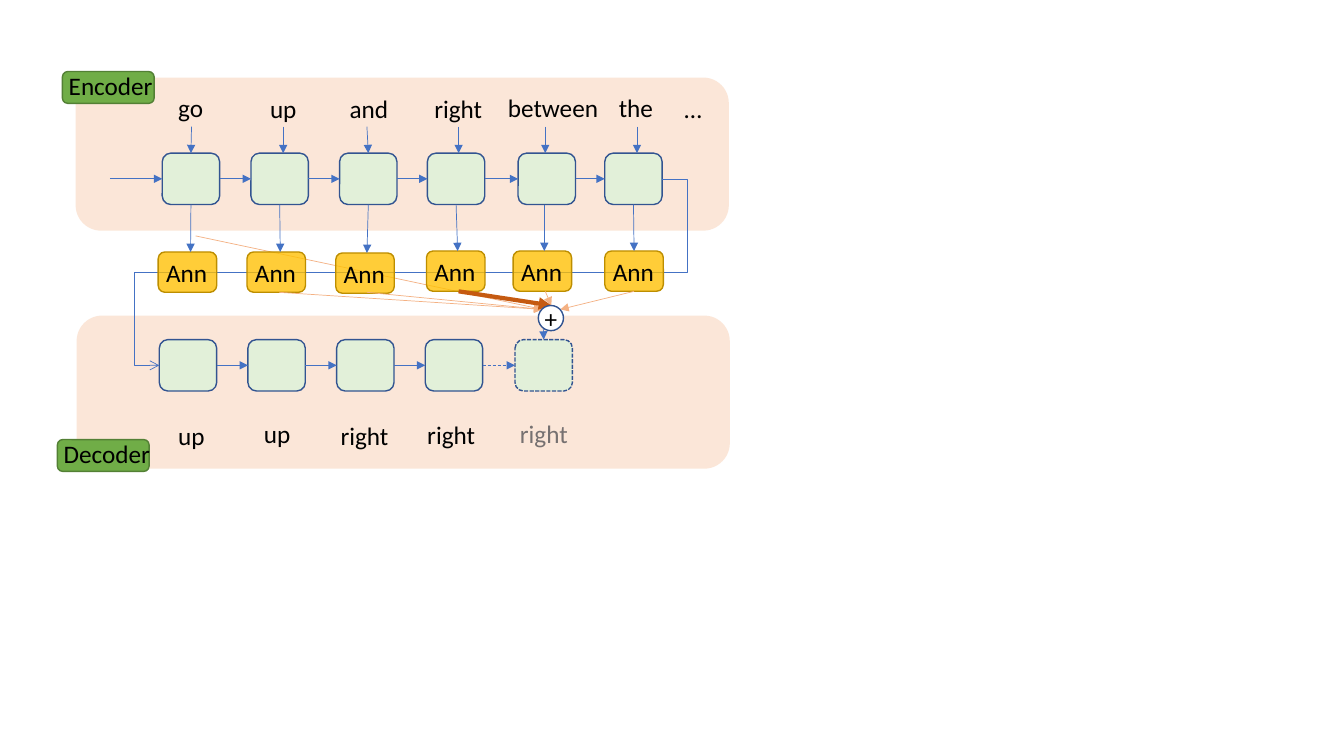
"""Build a slide of an attention-based encoder and decoder."""
import itertools

import lxml.etree
import pptx
import pptx.dml.color
import pptx.enum.dml
import pptx.enum.shapes
import pptx.enum.text
import pptx.oxml.ns
import pptx.util

Pt = pptx.util.Pt
qn = pptx.oxml.ns.qn
color = pptx.dml.color.RGBColor.from_string
ROUNDED = pptx.enum.shapes.MSO_SHAPE.ROUNDED_RECTANGLE
OVAL = pptx.enum.shapes.MSO_SHAPE.OVAL
STRAIGHT = pptx.enum.shapes.MSO_CONNECTOR.STRAIGHT
ELBOW = pptx.enum.shapes.MSO_CONNECTOR.ELBOW
DASH = pptx.enum.dml.MSO_LINE.DASH
SHORT_DASH = pptx.enum.dml.MSO_LINE.SQUARE_DOT
LEFT = pptx.enum.text.PP_ALIGN.LEFT
CENTER = pptx.enum.text.PP_ALIGN.CENTER

BLUE, NAVY, PEACH = "4472C4", "325491", "F4B183"
CELL_WIDTH, CELL_HEIGHT = 41, 36.7
ENCODER_TOP, DECODER_TOP = 109.4, 242.6
GLUE_REACH = 1.1

deck = pptx.Presentation()
deck.slide_width, deck.slide_height = Pt(960), Pt(540)
page = deck.slides.add_slide(deck.slide_layouts[6])
blocks = []


def draw_box(text, left, top, width, height, kind=None, fill=None, alpha=None, line=None,
             dash=None, ink="000000", align=LEFT, margins=(7.2, 3.6, 7.2, 3.6)):
    frame = [Pt(value) for value in (left, top, width, height)]
    if kind is None:
        box = page.shapes.add_textbox(*frame)
    else:
        box = page.shapes.add_shape(kind, *frame)
        box.shadow.inherit = False
        box.fill.solid()
        box.fill.fore_color.rgb = color(fill)
        if alpha:
            swatch = box._element.spPr.find(qn("a:solidFill"))[0]
            lxml.etree.SubElement(swatch, qn("a:alpha"), val=str(alpha * 1000))
        if line:
            box.line.color.rgb = color(line)
            box.line.width = Pt(1)
            box.line.dash_style = dash
        else:
            box.line.fill.background()
    if text:
        body = box.text_frame
        body.word_wrap = False
        body.margin_left, body.margin_top, body.margin_right, body.margin_bottom = map(Pt, margins)
        body.vertical_anchor = pptx.enum.text.MSO_ANCHOR.MIDDLE
        para = body.paragraphs[0]
        para.alignment = align
        span = para.add_run()
        span.text = text
        span.font.name, span.font.size = "Calibri", Pt(18)
        span.font.color.rgb = color(ink)
    return box


def draw_arrow(start, end, stroke=BLUE, weight=0.5, dash=None, head="triangle", kind=STRAIGHT):
    arrow = page.shapes.add_connector(kind, *map(Pt, start + end))
    arrow.line.color.rgb = color(stroke)
    arrow.line.width = Pt(weight)
    arrow.line.dash_style = dash
    outline = arrow._element.spPr.find(qn("a:ln"))
    lxml.etree.SubElement(outline, qn("a:tailEnd"), type=head)
    lxml.etree.SubElement(arrow._element.spPr, qn("a:effectLst"))
    if kind == STRAIGHT:
        for block in blocks:
            x, y, w, h = (side.pt for side in (block.left, block.top, block.width, block.height))
            sites = [(x + w / 2, y), (x, y + h / 2), (x + w / 2, y + h), (x + w, y + h / 2)]
            for site, (site_x, site_y) in enumerate(sites):
                for point, join in ((start, arrow.begin_connect), (end, arrow.end_connect)):
                    if max(abs(point[0] - site_x), abs(point[1] - site_y)) <= GLUE_REACH:
                        join(block, site)
    return arrow


for left, top in ((54, 55.4), (54.7, 225.4)):
    draw_box("", left, top, 466.6, 109.4, kind=ROUNDED, fill="ED7D31", alpha=19)

encoder_lefts = [115.9, 179.3, 242.6, 305.3, 370.1, 432]
decoder_lefts = [113.8, 177.1, 240.5, 303.8, 367.9]
for lefts, top in ((encoder_lefts, ENCODER_TOP), (decoder_lefts, DECODER_TOP)):
    for left in lefts:
        dash = SHORT_DASH if left == decoder_lefts[-1] else None
        blocks.append(draw_box("", left, top, CELL_WIDTH, CELL_HEIGHT, kind=ROUNDED,
                               fill="E2F0D9", line=NAVY, dash=dash))
    middle = top + CELL_HEIGHT / 2
    for left, following in itertools.pairwise(lefts):
        dash = DASH if following == decoder_lefts[-1] else None
        draw_arrow((left + CELL_WIDTH, middle), (following, middle), dash=dash)

encoder_middle = ENCODER_TOP + CELL_HEIGHT / 2
decoder_middle = DECODER_TOP + CELL_HEIGHT / 2
draw_arrow((78.5, encoder_middle), (encoder_lefts[0], encoder_middle))

words = [
    ("go", 120.2, 62, 32.4), ("up", 185.8, 62.6, 33.8), ("and", 242.6, 62.6, 42.5),
    ("right", 303.1, 62.6, 49), ("between", 355.7, 62, 79.9), ("the", 434.9, 62, 39.6),
    ("…", 481.7, 62.6, 27.4),
    ("up", 120.2, 296.6, 33.8), ("up", 181.4, 295.2, 33.8), ("right", 236.2, 296.6, 49),
    ("right", 298.1, 296, 49),
]
for word, left, top, width in words:
    draw_box(word, left, top, width, 29)
draw_box("right", 364.3, 295.2, 49, 29, ink="767171")
for x in (136.8, 202.3, 262.1, 327.6, 389.5, 455):
    draw_arrow((x, 90.5), (x, ENCODER_TOP))

handover = draw_arrow((encoder_lefts[-1] + CELL_WIDTH, encoder_middle),
                      (decoder_lefts[0], decoder_middle), head="arrow", kind=ELBOW)
bend = handover._element.spPr.find(qn("a:prstGeom"))
bend.set("prst", "bentConnector5")
for number, share in enumerate((-5000, 50000, 105000), start=1):
    lxml.etree.SubElement(bend.find(qn("a:avLst")), qn("a:gd"),
                          name=f"adj{number}", fmla=f"val {share}")

draw_arrow((139.7, 168.5), (387.4, 221), stroke=PEACH)
annotations = [(113, 180), (176.4, 180), (239.8, 180.7), (304.6, 179.3), (366.5, 179.3),
               (432, 179.3)]
for left, top in annotations:
    blocks.append(draw_box("Ann", left, top, 41.8, 28.8, kind=ROUNDED, fill="FFC000", alpha=78,
                           line="BD8E00", margins=(4.3, 0, 0, 0)))
for x, (left, top) in zip((136.1, 200.2, 262.1, 326.9, 388.8, 452.9), annotations):
    draw_arrow((x, ENCODER_TOP + CELL_HEIGHT), (x, top))

attention = [((199.4, 208.8), (387.4, 221)), ((262.1, 208.8), (387.4, 221)),
             ((389.5, 208.1), (393.8, 218.2)), ((453.6, 208.8), (400.3, 221))]
for start, end in attention:
    draw_arrow(start, end, stroke=PEACH)
draw_arrow((327.6, 208.1), (393.8, 218.2), stroke="C55A11", weight=3)
draw_box("+", 384.5, 218.2, 18, 18, kind=OVAL, fill="FFFFFF", line=NAVY, align=CENTER,
         margins=(0, 0, 0, 0))
draw_arrow((388.1, 234.7), (388.8, DECODER_TOP))

for title, left, top in (("Encoder", 44.6, 51.1), ("Decoder", 41, 314)):
    draw_box(title, left, top, 65.5, 22.7, kind=ROUNDED, fill="70AD47", line="538035",
             margins=(3.4, 0, 0, 3))

deck.save("out.pptx")
